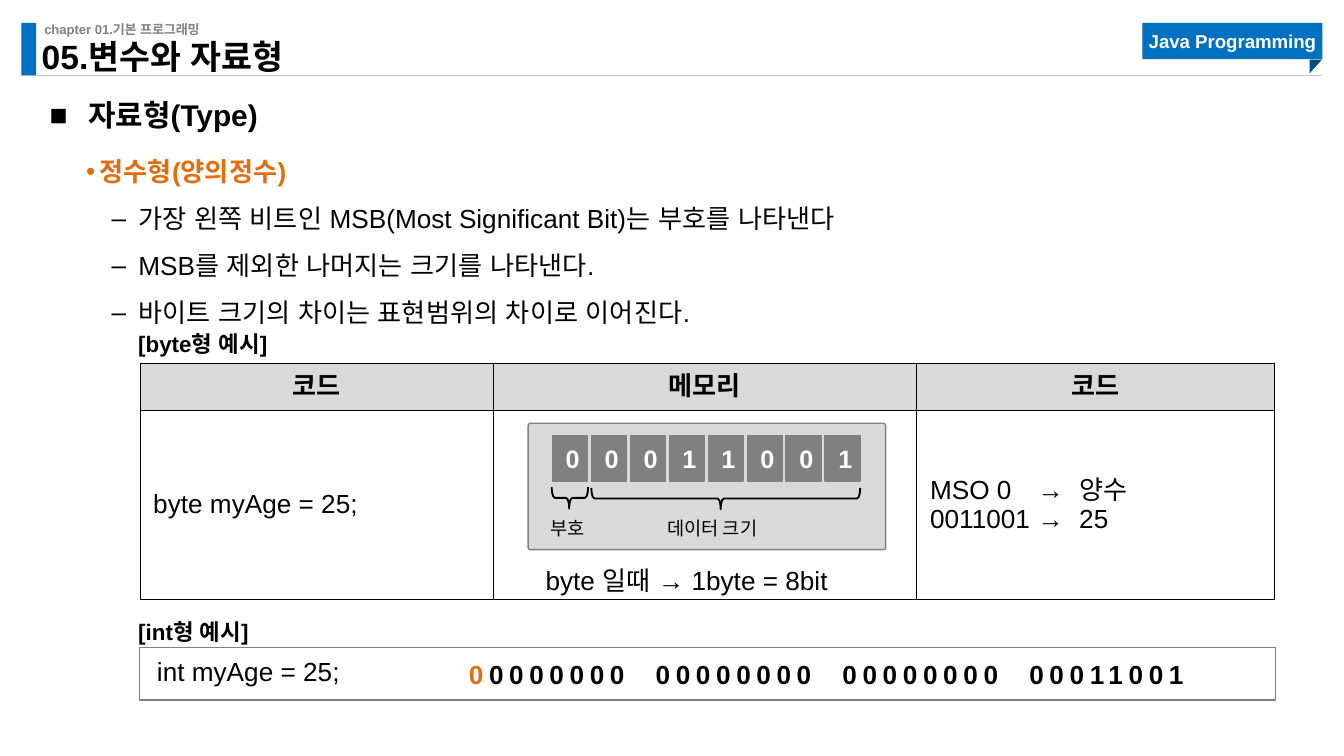
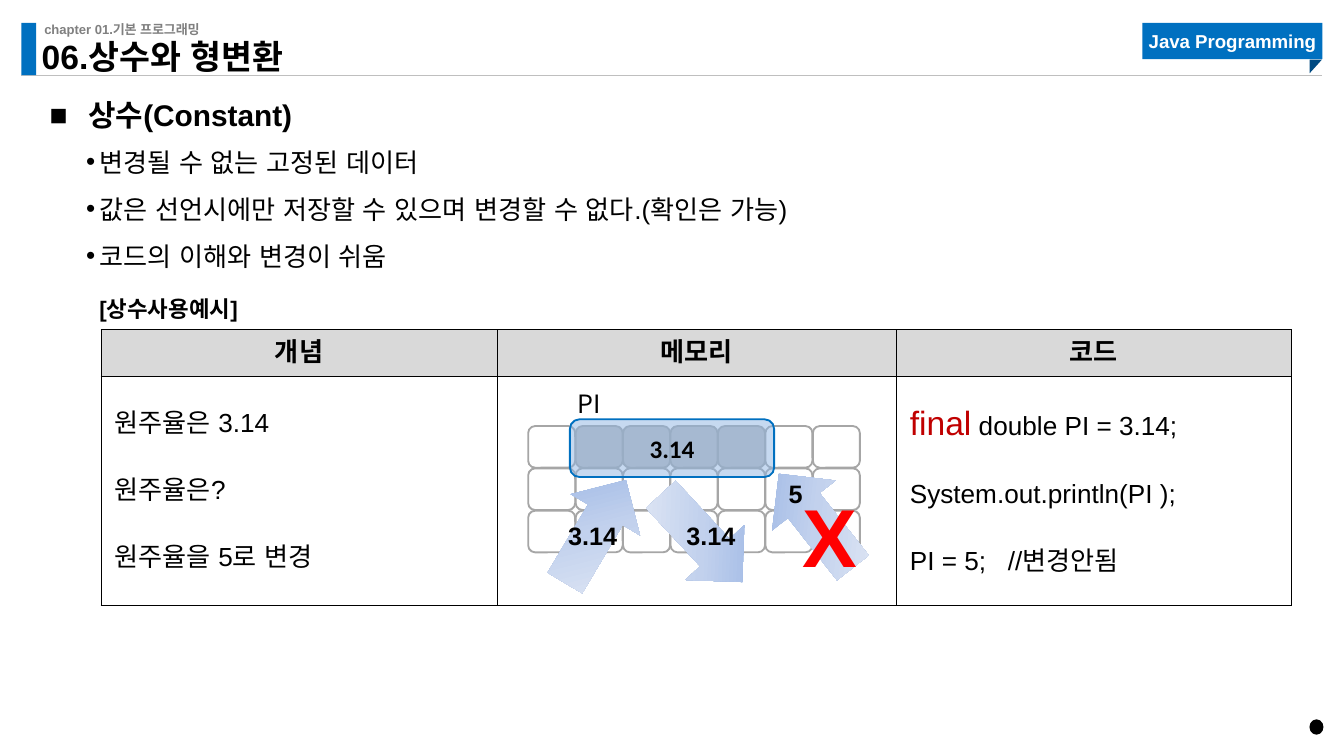
import pptx
import pptx.util
import pptx.dml.color
import pptx.enum.shapes
import pptx.enum.text
import pptx.oxml
import pptx.oxml.ns
from lxml import etree

Inches = pptx.util.Inches
Pt = pptx.util.Pt
SHAPE = pptx.enum.shapes.MSO_SHAPE
ALIGN = pptx.enum.text.PP_ALIGN
ANCHOR = pptx.enum.text.MSO_ANCHOR
qn = pptx.oxml.ns.qn

BLACK, WHITE, RED = "000000", "FFFFFF", "FF0000"
BLUE, NAVY, ORANGE, CRIMSON = "0070C0", "004A82", "E46C0A", "C00000"
GRAY, MID, SILVER, PALE = "808080", "A6A6A6", "BFBFBF", "D9D9D9"
SKY = "8EB4E3"
ARROW_STOPS = [(0, "9AB5E4"), (50, "C2D1ED"), (100, "E1E8F5")]
DEFAULT_INSETS = (0.1, 0.05, 0.1, 0.05)
LEVELS = {"■": (0.29, -0.29), "•": (0.4, -0.1), "–": (0.69, -0.2)}


def rgb(value):
    """Turn a hex string into a colour."""
    return pptx.dml.color.RGBColor.from_string(value)


def style(r, size=14, color=BLACK, bold=False, font="Arial"):
    """Format one run, with the same face for Latin and Korean."""
    r.font.size = Pt(size)
    r.font.bold = bold
    r.font.color.rgb = rgb(color)
    r.font.name = font
    latin = r.font._element.find(qn("a:latin"))
    if r.font._element.find(qn("a:ea")) is None:
        latin.addnext(etree.Element(qn("a:ea"), typeface=font))


def set_insets(target, insets):
    """Set the four margins of a text frame or a cell."""
    sides = ("left", "top", "right", "bottom")
    for side, value in zip(sides, insets):
        setattr(target, "margin_" + side, Inches(value))


def set_bullet(p, char):
    """Give a paragraph its bullet and hanging indent."""
    margin, indent = LEVELS[char]
    pPr = p._p.get_or_add_pPr()
    pPr.set("marL", str(Inches(margin)))
    pPr.set("indent", str(Inches(indent)))
    etree.SubElement(pPr, qn("a:buFont"), typeface="Arial")
    etree.SubElement(pPr, qn("a:buChar"), char=char)


def set_tabs(p, stops):
    """Put left tab stops on a paragraph."""
    tabs = etree.SubElement(p._p.get_or_add_pPr(), qn("a:tabLst"))
    for stop in stops:
        etree.SubElement(tabs, qn("a:tab"), pos=str(Inches(stop)), algn="l")


def add_text(s, box, text, insets=DEFAULT_INSETS, wrap=True, align=None,
             spacing=None, **look):
    """Add a text box with one paragraph and return that paragraph."""
    tf = s.shapes.add_textbox(*map(Inches, box)).text_frame
    tf.word_wrap = wrap
    set_insets(tf, insets)
    p = tf.paragraphs[0]
    p.text = text
    if align:
        p.alignment = align
    if spacing:
        p.line_spacing = spacing
    for r in p.runs:
        style(r, **look)
    return p


def add_bullets(s, box, items, insets=(0, 0.05, 0.1, 0.05)):
    """Add a bulleted list of (bullet, text, look) items."""
    tf = s.shapes.add_textbox(*map(Inches, box)).text_frame
    tf.word_wrap = True
    set_insets(tf, insets)
    for i, (char, text, look) in enumerate(items):
        p = tf.add_paragraph() if i else tf.paragraphs[0]
        p.text = text
        set_bullet(p, char)
        p.line_spacing = 1.5
        style(p.runs[0], **look)


def add_shape(s, kind, box, fill=None, line=None, width=0.75, adj=(),
              rot=0, text="", insets=DEFAULT_INSETS, **look):
    """Add a preset shape with optional centred text."""
    sp = s.shapes.add_shape(kind, *map(Inches, box))
    sp.shadow.inherit = False
    sp.rotation = rot
    for i, value in enumerate(adj):
        sp.adjustments[i] = value
    if fill:
        sp.fill.solid()
        sp.fill.fore_color.rgb = rgb(fill)
    else:
        sp.fill.background()
    if line:
        sp.line.color.rgb = rgb(line)
        sp.line.width = Pt(width)
    else:
        sp.line.fill.background()
    if text:
        tf = sp.text_frame
        set_insets(tf, insets)
        tf.vertical_anchor = ANCHOR.MIDDLE
        tf.text = text
        tf.paragraphs[0].alignment = ALIGN.CENTER
        style(tf.paragraphs[0].runs[0], **look)
    return sp


def add_arrow(s, left, top, rot):
    """Add a rotated block arrow with the shared gradient."""
    sp = add_shape(s, SHAPE.DOWN_ARROW, (left, top, 0.6, 0.89), rot=rot)
    spPr = sp._element.spPr
    grad = etree.Element(qn("a:gradFill"), rotWithShape="1")
    stops = etree.SubElement(grad, qn("a:gsLst"))
    for pos, color in ARROW_STOPS:
        gs = etree.SubElement(stops, qn("a:gs"), pos=str(pos * 1000))
        etree.SubElement(gs, qn("a:srgbClr"), val=color)
    etree.SubElement(grad, qn("a:lin"), ang=str(225 * 60000), scaled="0")
    spPr.replace(spPr.find(qn("a:noFill")), grad)


def set_borders(cell):
    """Draw thin black borders around a cell."""
    tcPr = cell._tc.get_or_add_tcPr()
    for i, side in enumerate(("a:lnL", "a:lnR", "a:lnT", "a:lnB")):
        ln = etree.Element(qn(side), w=str(Pt(0.25)))
        fill = etree.SubElement(ln, qn("a:solidFill"))
        etree.SubElement(fill, qn("a:srgbClr"), val=BLACK)
        tcPr.insert(i, ln)


def add_table(s, left, top, widths, heights, headers, body, gap=0):
    """Add a bordered table with a gray header and one body row of line lists."""
    frame = s.shapes.add_table(2, len(widths), Inches(left), Inches(top),
                               Inches(sum(widths)), Inches(sum(heights)))
    table = frame.table
    table.first_row = table.horz_banding = False
    for row, height in zip(table.rows, heights):
        row.height = Inches(height)
    for c, width in enumerate(widths):
        table.columns[c].width = Inches(width)
        for r, lines in enumerate(([headers[c]], body[c])):
            cell = table.cell(r, c)
            cell.vertical_anchor = ANCHOR.MIDDLE
            set_insets(cell, DEFAULT_INSETS if r else (0, 0, 0, 0))
            if r:
                cell.fill.background()
            else:
                cell.fill.solid()
                cell.fill.fore_color.rgb = rgb(PALE)
            set_borders(cell)
            cell.text_frame.text = "\n".join(lines)
            for i, p in enumerate(cell.text_frame.paragraphs):
                if i and gap:
                    p.space_before = Pt(gap)
                if not r:
                    p.alignment = ALIGN.CENTER
                for run in p.runs:
                    style(run, bold=not r)
    return table


def add_page(prs, title, heading):
    """Add a slide with the shared header, its title and its heading."""
    s = prs.slides.add_slide(prs.slide_layouts[5])
    rule = s.shapes.add_connector(pptx.enum.shapes.MSO_CONNECTOR.STRAIGHT,
                                  *map(Inches, (0.16, 0.56, 9.84, 0.56)))
    rule.line.color.rgb = rgb(SILVER)
    rule.line.width = Pt(0.5)
    etree.SubElement(rule._element.spPr, qn("a:effectLst"))
    add_shape(s, SHAPE.RECTANGLE, (0.16, 0.17, 0.11, 0.39), BLUE)
    add_text(s, (0.33, 0.16, 3.23, 0.12), "chapter 01.기본 프로그래밍",
             insets=(0, 0, 0, 0), size=7, color=GRAY, bold=True)
    add_shape(s, SHAPE.RECTANGLE, (8.5, 0.17, 1.34, 0.27), BLUE,
              text="Java Programming", insets=(0, 0, 0, 0),
              size=10, color=WHITE, bold=True)
    add_shape(s, SHAPE.RIGHT_TRIANGLE, (9.74, 0.45, 0.1, 0.09), NAVY, rot=90)
    sp = s.shapes.title
    sp.left, sp.top, sp.width, sp.height = map(Inches, (0.31, 0.34, 3.3, 0.23))
    tf = sp.text_frame
    tf.text = title
    tf.auto_size = pptx.enum.text.MSO_AUTO_SIZE.NONE
    tf.vertical_anchor = ANCHOR.BOTTOM
    set_insets(tf, (0, 0, 0, 0))
    p = tf.paragraphs[0]
    p.alignment = ALIGN.LEFT
    p.line_spacing = 0.9
    style(p.runs[0], size=18, bold=True)
    add_bullets(s, (0.37, 0.59, 9.54, 0.33),
                [("■", heading, {"size": 16, "bold": True})], (0, 0, 0, 0))
    return s


def add_byte_memory(s):
    """Draw the eight bits of a byte with sign and size braces."""
    add_text(s, (3.93, 4.08, 2.36, 0.35), "byte 일때 → 1byte = 8bit",
             insets=(0, 0, 0, 0), wrap=False, align=ALIGN.CENTER, spacing=1.5)
    add_shape(s, SHAPE.ROUNDED_RECTANGLE, (3.93, 3.15, 2.66, 0.94), PALE,
              GRAY, adj=[0.018])
    for i, bit in enumerate("00011001"):
        add_shape(s, SHAPE.ROUNDED_RECTANGLE, (4.11 + 0.29 * i, 3.24, 0.26, 0.34),
                  GRAY, GRAY, adj=[0], text=bit, size=13.5, color=WHITE, bold=True)
    for label, left, width in (("부호", 4, 0.48), ("데이터 크기", 4.87, 0.93)):
        add_text(s, (left, 3.8, width, 0.27), label, wrap=False, size=10,
                 font="Calibri")
    for box in ((4.16, 3.57, 0.16, 0.27), (5.32, 2.71, 0.16, 2)):
        add_shape(s, SHAPE.RIGHT_BRACE, box, line=BLACK, width=1, rot=90,
                  adj=(0.147, 0.519))


def add_constant_memory(s):
    """Draw the memory grid, the constant in it and the three accesses."""
    for row in range(3):
        for col in range(7):
            used = row == 0 and 1 <= col <= 4
            add_shape(s, SHAPE.ROUNDED_RECTANGLE,
                      (3.93 + 0.353 * col, 3.17 + 0.315 * row, 0.35, 0.31),
                      SILVER if used else None, MID, 1)
    add_text(s, (4.2, 2.84, 0.41, 0.4), "PI", wrap=False, size=13.5,
             font="Noto Sans CJK KR")
    sp = add_shape(s, SHAPE.ROUNDED_RECTANGLE, (4.24, 3.12, 1.52, 0.43), SKY,
                   BLUE, 1, text="3.14", size=13.5, bold=True, font="Calibri")
    color = sp._element.spPr.find(qn("a:solidFill")).find(qn("a:srgbClr"))
    etree.SubElement(color, qn("a:alpha"), val="50000")
    accesses = [((4.13, 3.51, 210.7), (4.13, 3.82, 0.7, 0.4), "3.14"),
                ((4.92, 3.56, 317.1), (5.01, 3.82, 0.7, 0.4), "3.14"),
                ((5.77, 3.43, 141.8), (5.77, 3.51, 0.35, 0.4), "5")]
    for arrow, box, value in accesses:
        add_arrow(s, *arrow)
        add_text(s, box, value, wrap=False, size=13.5, bold=True)
    add_text(s, (5.87, 3.56, 0.6, 0.84), "X", wrap=False, size=44, color=RED,
             bold=True)


def build_types(prs):
    """Build the slide on integer types."""
    s = add_page(prs, "05.변수와 자료형", "자료형(Type)")
    add_bullets(s, (0.34, 0.99, 7.48, 0.47), [
        ("•", "정수형(양의정수)", {"color": ORANGE, "bold": True}),
        ("–", "가장 왼쪽 비트인 MSB(Most Significant Bit)는 부호를 나타낸다", {}),
        ("–", "MSB를 제외한 나머지는 크기를 나타낸다.", {}),
        ("–", "바이트 크기의 차이는 표현범위의 차이로 이어진다.", {})])
    add_text(s, (1.07, 4.83, 1.66, 0.34), "int myAge = 25;", wrap=False)
    p = add_text(s, (3.39, 4.85, 5.89, 0.34), "0", color=ORANGE, bold=True)
    set_tabs(p, [1.39 * i for i in (1, 2, 3)])
    r = p.add_run()
    r.text = "0000000\t00000000\t00000000\t00011001"
    style(r, bold=True)
    for r in p.runs:
        r.font._element.set("spc", "300")
    for top, label in ((2.41, "[byte형 예시]"), (4.55, "[int형 예시]")):
        add_text(s, (0.93, top, 1.72, 0.3), label, size=12, bold=True)
    add_shape(s, SHAPE.RECTANGLE, (1.04, 4.82, 8.45, 0.39), line=GRAY)
    add_byte_memory(s)
    table = add_table(s, 1.04, 2.7, (2.63, 3.15, 2.66), (0.35, 1.41),
                      ("코드", "메모리", "코드"),
                      (["byte myAge = 25;"], [],
                       ["MSO 0\t→\t양수", "0011001\t→\t25"]))
    for p in table.cell(1, 2).text_frame.paragraphs:
        set_tabs(p, (0.8, 1.11))


def build_constants(prs):
    """Build the slide on constants."""
    s = add_page(prs, "06.상수와 형변환", "상수(Constant)")
    add_bullets(s, (0.34, 0.92, 7.48, 0.47), [("•", text, {}) for text in (
        "변경될 수 없는 고정된 데이터",
        "값은 선언시에만 저장할 수 있으며 변경할 수 없다.(확인은 가능)",
        "코드의 이해와 변경이 쉬움")])
    add_text(s, (0.64, 2.15, 1.72, 0.3), "[상수사용예시]", size=12, bold=True)
    add_constant_memory(s)
    table = add_table(s, 0.75, 2.45, (2.95, 2.97, 2.94), (0.35, 1.7),
                      ("개념", "메모리", "코드"),
                      (["원주율은 3.14", "원주율은?", "원주율을 5로 변경"], [],
                       ["final", "System.out.println(PI );", "PI = 5;\t//변경안됨"]),
                      gap=20)
    lines = table.cell(1, 2).text_frame.paragraphs
    style(lines[0].runs[0], size=18, color=CRIMSON)
    r = lines[0].add_run()
    r.text = " double PI = 3.14;"
    style(r)
    set_tabs(lines[2], [0.73])
    add_shape(s, SHAPE.OVAL, (9.75, 5.36, 0.09, 0.1), BLACK, BLACK, 1)


def main():
    """Build both slides and save them."""
    prs = pptx.Presentation()
    prs.slide_width = Inches(10)
    prs.slide_height = prs.slide_width * 9 // 16
    build_types(prs)
    build_constants(prs)
    prs.save("out.pptx")


if __name__ == "__main__":
    main()
